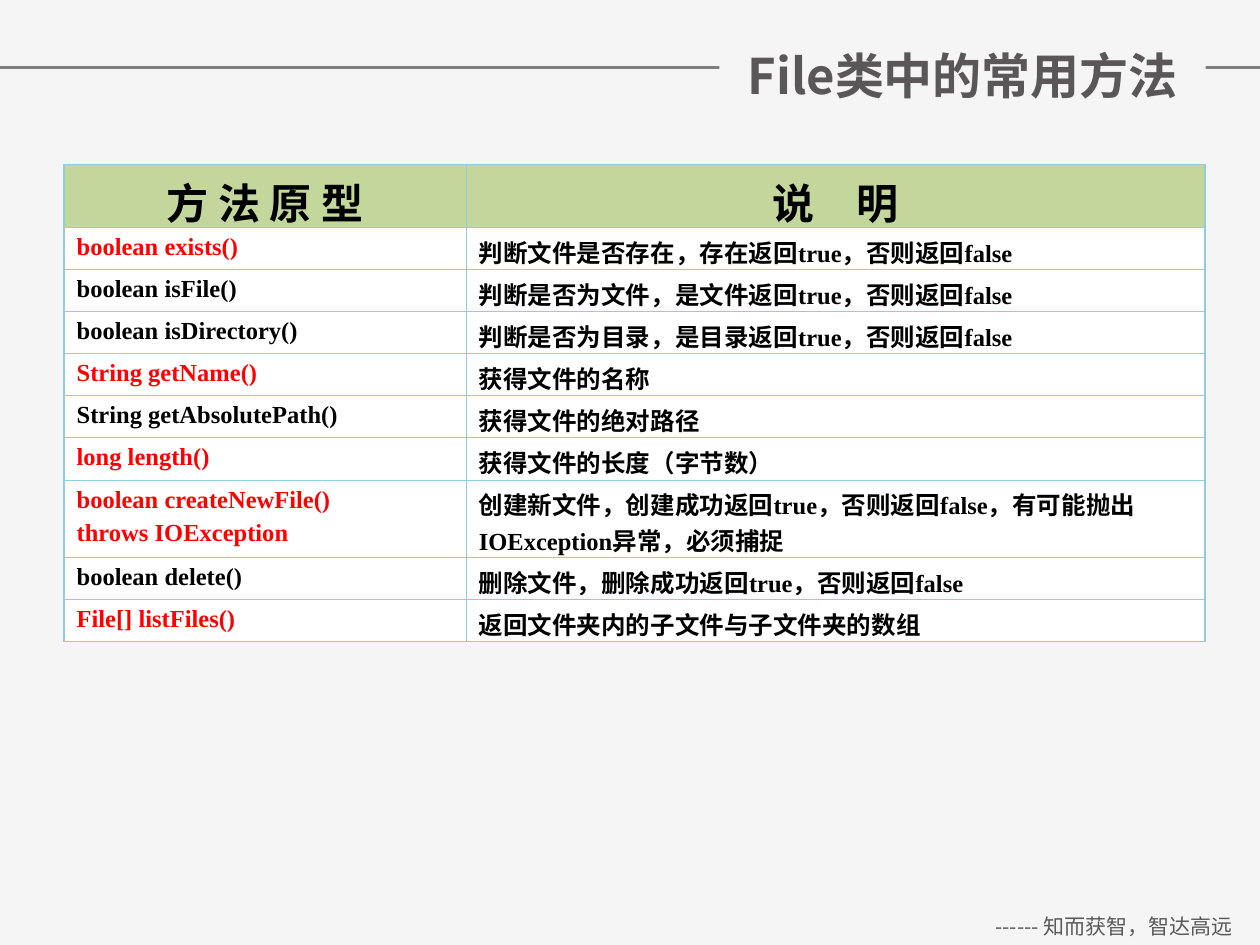
from dataclasses import dataclass

from lxml.etree import SubElement
from pptx import Presentation
from pptx.dml.color import RGBColor
from pptx.enum.shapes import MSO_CONNECTOR
from pptx.enum.text import MSO_ANCHOR, MSO_AUTO_SIZE, PP_ALIGN
from pptx.oxml.ns import qn
from pptx.table import _Cell
from pptx.text.text import TextFrame
from pptx.util import Pt

SANS = "Noto Sans CJK SC"
SERIF = "Times New Roman"
BACKGROUND = "F5F5F5"
BORDER = "93CDDD"
BLACK = "000000"
RED = "FF0000"

TITLE = {"size": Pt(28), "name": SANS, "bold": True}
HEADER = {"size": Pt(24), "name": SANS, "bold": True}
BODY = {"size": Pt(14), "name": SERIF, "bold": True}
FOOTER = {"size": Pt(12), "name": SANS}


@dataclass
class Method:
    prototype: str
    description: str
    color: str = BLACK
    height: float = 24.06


METHODS = [
    Method("boolean exists()", "判断文件是否存在，存在返回true，否则返回false", RED),
    Method("boolean isFile()", "判断是否为文件，是文件返回true，否则返回false"),
    Method("boolean isDirectory()", "判断是否为目录，是目录返回true，否则返回false"),
    Method("String getName()", "获得文件的名称", RED),
    Method("String getAbsolutePath()", "获得文件的绝对路径"),
    Method("long length()", "获得文件的长度（字节数）", RED),
    Method(
        "boolean createNewFile()\nthrows IOException",
        "创建新文件，创建成功返回true，否则返回false，有可能抛出IOException异常，必须捕捉",
        RED,
        44.5,
    ),
    Method("boolean delete()", "删除文件，删除成功返回true，否则返回false"),
    Method("File[] listFiles()", "返回文件夹内的子文件与子文件夹的数组", RED),
]


def rgb(value: str) -> RGBColor:
    return RGBColor.from_string(value)


def write(tf: TextFrame, text: str, style: dict, color: str, align: PP_ALIGN) -> None:
    for i, line in enumerate(text.split("\n")):
        p = tf.add_paragraph() if i else tf.paragraphs[0]
        p.alignment = align
        if i:
            p.space_before = Pt(3.5)
        r = p.add_run()
        r.text = line
        for name, value in style.items():
            setattr(r.font, name, value)
        r.font.color.rgb = rgb(color)
        SubElement(r.font._element, qn("a:ea"), typeface=SANS)


def add_border(cell: _Cell, side: str, width: float) -> None:
    tc_pr = cell._tc.get_or_add_tcPr()
    ln = SubElement(tc_pr, qn(f"a:ln{side}"), w=str(Pt(width)))
    fill = SubElement(ln, qn("a:solidFill"))
    SubElement(fill, qn("a:srgbClr"), val=BORDER)


def fill_cell(cell: _Cell, edges: str, fill: str, bottom: float) -> None:
    for side in "LRTB":
        add_border(cell, side, 0.75 if side in edges else 0.45)
    cell.fill.solid()
    cell.fill.fore_color.rgb = rgb(fill)
    cell.vertical_anchor = MSO_ANCHOR.TOP
    cell.margin_top = Pt(3.6)
    cell.margin_bottom = Pt(bottom)


def add_methods_table(s) -> None:
    rows = [Method("方 法 原 型", "说　明", BLACK, 36)] + METHODS
    table = s.shapes.add_table(len(rows), 2, Pt(36.6), Pt(94), Pt(652), Pt(272)).table
    table.first_row = table.horz_banding = False
    for column, width in zip(table.columns, (229.8, 422.2)):
        column.width = Pt(width)
    for i, row in enumerate(rows):
        table.rows[i].height = Pt(row.height)
        style, fill, align, bottom = (
            (BODY, "FFFFFF", PP_ALIGN.LEFT, -0.5)
            if i
            else (HEADER, "C3D69B", PP_ALIGN.CENTER, -3)
        )
        vertical = "T" if i == 0 else "B" if i == len(rows) - 1 else ""
        columns = ((row.prototype, row.color, "L"), (row.description, BLACK, "R"))
        for j, (text, color, outer) in enumerate(columns):
            cell = table.cell(i, j)
            fill_cell(cell, outer + vertical, fill, bottom)
            write(cell.text_frame, text, style, color, align)


def add_rule(s) -> None:
    line = s.shapes.add_connector(MSO_CONNECTOR.STRAIGHT, 0, Pt(38.6), Pt(720), Pt(38.6))
    line.line.color.rgb = rgb("7F7F7F")
    line.line.width = Pt(2)
    SubElement(line._element.spPr, qn("a:effectLst"))


def add_footer(s) -> None:
    tf = s.shapes.add_textbox(Pt(553), Pt(518.4), Pt(167), Pt(21.6)).text_frame
    tf.word_wrap = True
    write(tf, "------ 知而获智，智达高远", FOOTER, "595959", PP_ALIGN.CENTER)


def add_title(s) -> None:
    sp = s.shapes.title
    sp.element.getparent().append(sp.element)
    box = {"left": 411.1, "top": 22.6, "width": 277.9, "height": 41}
    for name, value in box.items():
        setattr(sp, name, Pt(value))
    sp.fill.solid()
    sp.fill.fore_color.rgb = rgb(BACKGROUND)
    tf = sp.text_frame
    frame = {
        "word_wrap": True,
        "auto_size": MSO_AUTO_SIZE.NONE,
        "vertical_anchor": MSO_ANCHOR.MIDDLE,
        **{f"margin_{side}": 0 for side in ("left", "top", "right", "bottom")},
    }
    for name, value in frame.items():
        setattr(tf, name, value)
    write(tf, "File类中的常用方法", TITLE, "595758", PP_ALIGN.CENTER)


def main() -> None:
    prs = Presentation()
    prs.slide_width, prs.slide_height = Pt(720), Pt(540)
    s = prs.slides.add_slide(prs.slide_layouts[5])
    s.background.fill.solid()
    s.background.fill.fore_color.rgb = rgb(BACKGROUND)
    add_rule(s)
    add_footer(s)
    add_title(s)
    add_methods_table(s)
    prs.save("out.pptx")


if __name__ == "__main__":
    main()
